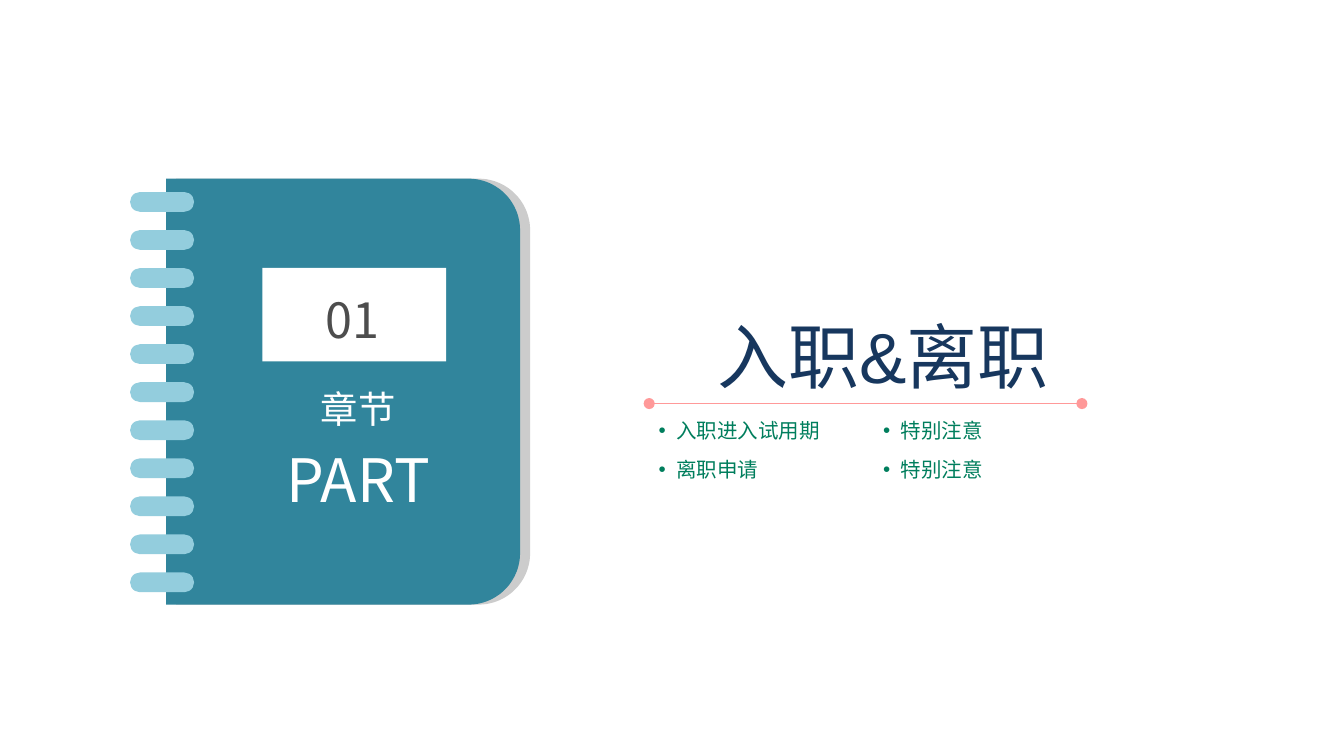
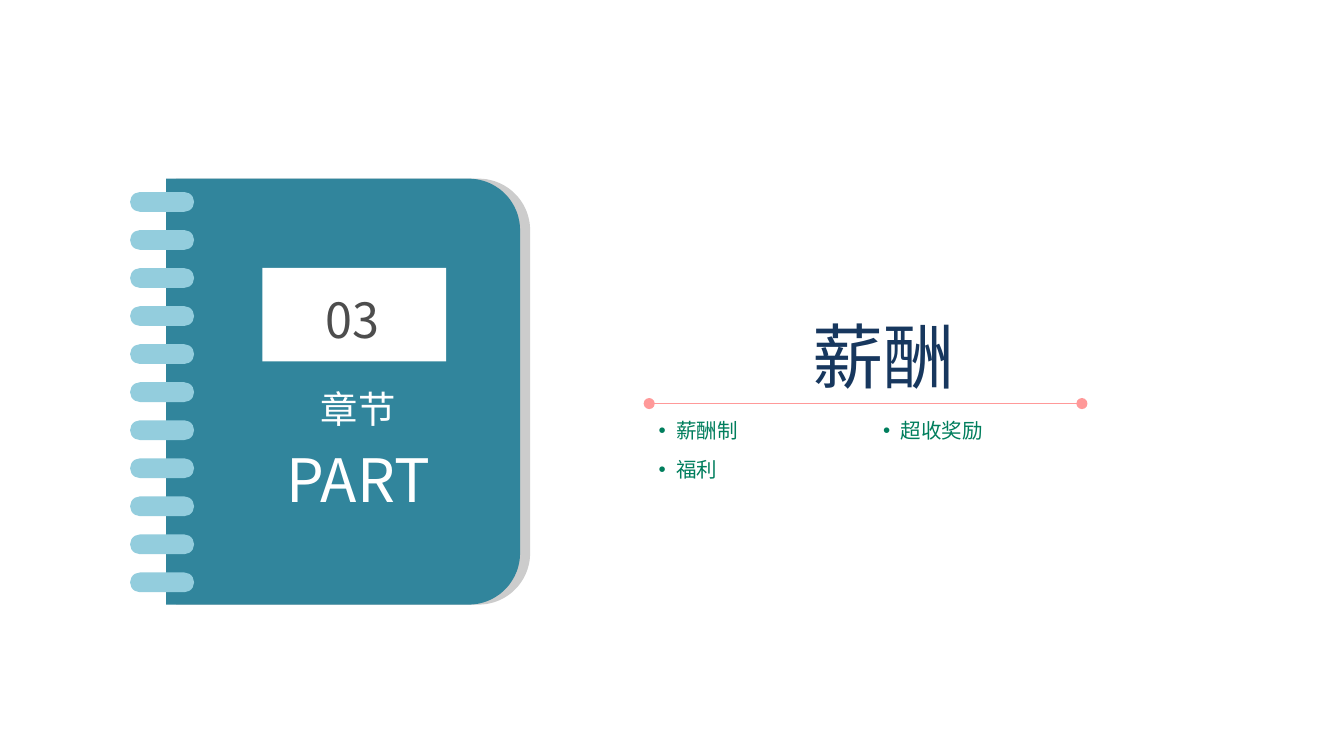
import math
from typing import NamedTuple

from lxml import etree
from pptx import Presentation
from pptx.dml.color import RGBColor
from pptx.enum import shapes, text
from pptx.oxml import ns
from pptx.util import Pt

TEAL = RGBColor(0x31, 0x85, 0x9C)
PALE_TEAL = RGBColor(0x93, 0xCD, 0xDD)
SHADE = RGBColor(0xCC, 0xCC, 0xCC)
WHITE = RGBColor(0xFF, 0xFF, 0xFF)
GRAY = RGBColor(0x4D, 0x4D, 0x4D)
NAVY = RGBColor(0x17, 0x37, 0x5E)
GREEN = RGBColor(0x00, 0x7E, 0x5D)
PINK = RGBColor(0xFF, 0x99, 0x99)

LATIN_FONT = "Arial"
CJK_FONT = "Noto Sans CJK SC"

COVER_TOP, COVER_WIDTH, COVER_HEIGHT, COVER_RADIUS = 95.75, 189.6, 228.2, 27.6
COVER_LEFT, SHADOW_LEFT = 89, 94.4
RING_COUNT, RING_STEP = 11, 20.38
TOPIC_LEFT, TOPIC_TOP, TOPIC_DX, TOPIC_DY = 347.8, 221, 120.3, 20.9


class Box(NamedTuple):
    left: float
    top: float
    width: float
    height: float


class Style(NamedTuple):
    size: float
    color: RGBColor
    font: str = CJK_FONT


class Topic(NamedTuple):
    label: str
    column: int
    row: int


class Section(NamedTuple):
    number: str
    title: str
    topics: tuple[Topic, ...]


LABEL_PLATE = Box(140.6, 143.5, 98.4, 50.1)
FIRST_RING = Box(69.7, 102.9, 34.3, 10.6)
NUMBER_BOX = Box(142.5, 155.6, 92.9, 31.6)
PART_BOX = Box(147.6, 206.8, 88.6, 70.5)
TITLE_BOX = Box(347.8, 167.6, 250.6, 46.8)
RULE_START, RULE_END, RULE_Y = 347.8, 579.6, 216.2

SECTIONS = (
    Section("01", "入职&离职", (
        Topic("入职进入试用期", 0, 0),
        Topic("特别注意", 1, 0),
        Topic("离职申请", 0, 1),
        Topic("特别注意", 1, 1),
    )),
    Section("03", "薪酬", (
        Topic("薪酬制", 0, 0),
        Topic("超收奖励", 1, 0),
        Topic("福利", 0, 1),
    )),
)


def points(box: Box) -> list[int]:
    return [Pt(value) for value in box]


def paint(sp, color: RGBColor) -> None:
    sp.fill.solid()
    sp.fill.fore_color.rgb = color
    sp.line.fill.background()
    sp.shadow.inherit = False


def style_paragraph(p, style: Style) -> None:
    p.font.size = Pt(style.size)
    p.font.color.rgb = style.color
    p.font.name = style.font
    defaults = p._p.pPr.find(ns.qn("a:defRPr"))
    etree.SubElement(defaults, ns.qn("a:ea"), typeface=CJK_FONT)


def add_text_frame(parent, box: Box, wrap: bool = True,
                   margin_x: float = 0, margin_y: float = 0):
    tf = parent.add_textbox(*points(box)).text_frame
    tf.word_wrap = wrap
    tf.auto_size = text.MSO_AUTO_SIZE.SHAPE_TO_FIT_TEXT
    tf.margin_left = tf.margin_right = Pt(margin_x)
    tf.margin_top = tf.margin_bottom = Pt(margin_y)
    return tf


def add_centered_text(parent, box: Box, *lines: tuple[str, Style]) -> None:
    tf = add_text_frame(parent, box)
    for i, (line, style) in enumerate(lines):
        p = tf.add_paragraph() if i else tf.paragraphs[0]
        p.text = line
        p.alignment = text.PP_ALIGN.CENTER
        if i:
            p.space_before = Pt(0.2 * style.size)
        style_paragraph(p, style)


def add_cover(parent, left: float, color: RGBColor) -> None:
    right, bottom = left + COVER_WIDTH, COVER_TOP + COVER_HEIGHT
    center_x = right - COVER_RADIUS
    outline = [(left, COVER_TOP)]
    for start, center_y in ((-90, COVER_TOP + COVER_RADIUS), (0, bottom - COVER_RADIUS)):
        for step in range(0, 91, 3):
            angle = math.radians(start + step)
            outline.append((center_x + COVER_RADIUS * math.cos(angle),
                            center_y + COVER_RADIUS * math.sin(angle)))
    outline.append((left, bottom))
    vertices = [(Pt(x), Pt(y)) for x, y in outline]
    builder = parent.build_freeform(*vertices[0])
    builder.add_line_segments(vertices[1:], close=True)
    paint(builder.convert_to_shape(), color)


def add_notebook(slide, number: str) -> None:
    parent = slide.shapes.add_group_shape().shapes
    add_cover(parent, SHADOW_LEFT, SHADE)
    add_cover(parent, COVER_LEFT, TEAL)
    plate = parent.add_shape(shapes.MSO_SHAPE.RECTANGLE, *points(LABEL_PLATE))
    paint(plate, WHITE)
    for i in range(RING_COUNT):
        box = FIRST_RING._replace(top=FIRST_RING.top + i * RING_STEP)
        ring = parent.add_shape(shapes.MSO_SHAPE.ROUNDED_RECTANGLE, *points(box))
        ring.adjustments[0] = 0.5
        paint(ring, PALE_TEAL)
    add_centered_text(parent, NUMBER_BOX, (number, Style(26, GRAY)))
    add_centered_text(parent, PART_BOX,
                      ("章节", Style(20, WHITE)), ("PART", Style(32, WHITE)))


def add_title_rule(slide) -> None:
    rule = slide.shapes.add_connector(shapes.MSO_CONNECTOR.STRAIGHT, Pt(RULE_START),
                                      Pt(RULE_Y), Pt(RULE_END), Pt(RULE_Y))
    rule.line.color.rgb = PINK
    rule.line.width = Pt(1)
    for end in ("a:headEnd", "a:tailEnd"):
        etree.SubElement(rule.line._get_or_add_ln(), ns.qn(end), type="oval")
    etree.SubElement(rule._element.spPr, ns.qn("a:effectLst"))


def add_topic(slide, topic: Topic) -> None:
    box = Box(TOPIC_LEFT + topic.column * TOPIC_DX, TOPIC_TOP + topic.row * TOPIC_DY,
              20.2 + 11.1 * len(topic.label), 18.7)
    tf = add_text_frame(slide.shapes, box, wrap=False, margin_x=5, margin_y=2.9)
    p = tf.paragraphs[0]
    p.text = topic.label
    p.level = 1
    props = p._p.get_or_add_pPr()
    props.set("marL", str(Pt(9.4)))
    props.set("indent", str(-Pt(9.4)))
    etree.SubElement(props, ns.qn("a:buFont"), typeface=LATIN_FONT)
    etree.SubElement(props, ns.qn("a:buChar"), char="•")
    style_paragraph(p, Style(11, GREEN, LATIN_FONT))


def add_section(prs, section: Section) -> None:
    slide = prs.slides.add_slide(prs.slide_layouts[6])
    add_title_rule(slide)
    add_centered_text(slide.shapes, TITLE_BOX,
                      (section.title, Style(38, NAVY, LATIN_FONT)))
    for topic in section.topics:
        add_topic(slide, topic)
    add_notebook(slide, section.number)


def main() -> None:
    prs = Presentation()
    prs.slide_width, prs.slide_height = Pt(720), Pt(405)
    for section in SECTIONS:
        add_section(prs, section)
    prs.save("out.pptx")


if __name__ == "__main__":
    main()
